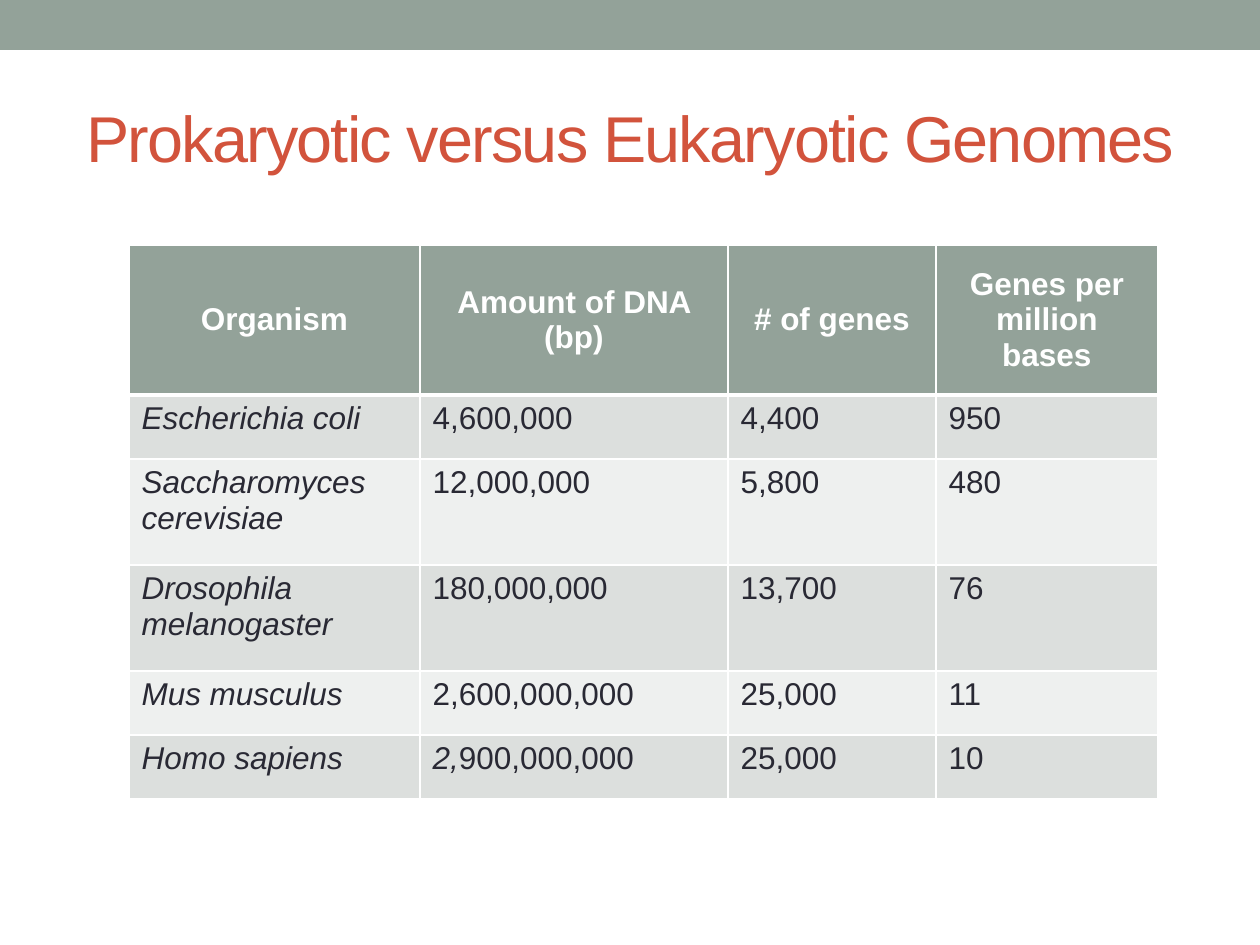
from dataclasses import dataclass

from lxml import etree
from pptx import Presentation
from pptx.dml.color import RGBColor
from pptx.enum.shapes import MSO_SHAPE
from pptx.enum.text import MSO_ANCHOR, PP_ALIGN
from pptx.oxml.ns import qn
from pptx.util import Emu, Pt

RECT = MSO_SHAPE.RECTANGLE
TOP, MIDDLE = MSO_ANCHOR.TOP, MSO_ANCHOR.MIDDLE
LEFT, CENTER = PP_ALIGN.LEFT, PP_ALIGN.CENTER
EMU_PER_PX = 914400 / 126


@dataclass(frozen=True)
class Theme:
    font: str = "Arial"
    title_size: int = 37
    table_size: int = 18
    title: str = "D2533C"
    sage: str = "93A299"
    white: str = "FFFFFF"
    ink: str = "292934"
    bands: tuple = ("DCDFDD", "EEF0EF")
    grid_pt: float = 0.96
    header_rule_pt: float = 3


def px(n):
    return Emu(round(n * EMU_PER_PX))


class SlideBuilder:
    def __init__(self, slide, theme):
        self.s = slide
        self.theme = theme

    def run(self, p, text, size, color, bold=False, italic=False):
        r = p.add_run()
        r.text = text
        f = r.font
        f.name, f.size, f.bold, f.italic = self.theme.font, Pt(size), bold, italic
        f.color.rgb = RGBColor.from_string(color)
        return r

    def bar(self, x, y, w, h, color):
        sp = self.s.shapes.add_shape(RECT, px(x), px(y), px(w), px(h))
        sp.shadow.inherit = False
        sp.fill.solid()
        sp.fill.fore_color.rgb = RGBColor.from_string(color)
        sp.line.fill.background()

    def title(self, text, x, y, w, h):
        sp = self.s.shapes.add_textbox(px(x), px(y), px(w), px(h))
        tf = sp.text_frame
        tf.word_wrap = True
        tf.vertical_anchor = MIDDLE
        p = tf.paragraphs[0]
        p.alignment = CENTER
        p.line_spacing = 0.9
        r = self.run(p, text, self.theme.title_size, self.theme.title)
        r.font._element.set("spc", "-100")

    def borders(self, cell, top, bottom):
        """Draw white cell edges; top and bottom are widths in points."""
        grid = self.theme.grid_pt
        edges = (("L", grid), ("R", grid), ("T", top), ("B", bottom))
        tc_pr = cell._tc.get_or_add_tcPr()
        for i, (side, width) in enumerate(edges):
            ln = etree.Element(qn(f"a:ln{side}"), w=str(Pt(width)))
            fill = etree.SubElement(ln, qn("a:solidFill"))
            etree.SubElement(fill, qn("a:srgbClr"), val=self.theme.white)
            tc_pr.insert(i, ln)

    def cell(self, cell, runs, row):
        """Fill one cell from (text, italic) runs, styled by its row."""
        t = self.theme
        header = row == 0
        cell.fill.solid()
        fill = t.sage if header else t.bands[(row - 1) % 2]
        cell.fill.fore_color.rgb = RGBColor.from_string(fill)
        cell.vertical_anchor = MIDDLE if header else TOP
        p = cell.text_frame.paragraphs[0]
        p.alignment = CENTER if header else LEFT
        for text, italic in runs:
            self.run(p, text, t.table_size, t.white if header else t.ink, header, italic)
        self.borders(cell,
                     t.header_rule_pt if row == 1 else t.grid_pt,
                     t.header_rule_pt if header else t.grid_pt)

    def table(self, rows, x, y, widths, heights):
        frame = self.s.shapes.add_table(len(rows), len(widths), px(x), px(y),
                                        px(sum(widths)), px(sum(heights)))
        table = frame.table
        for column, width in zip(table.columns, widths):
            column.width = px(width)
        for row, height in zip(table.rows, heights):
            row.height = px(height)
        for i, row in enumerate(rows):
            for j, value in enumerate(row):
                species = i > 0 and j == 0
                runs = [(value, species)] if isinstance(value, str) else value
                self.cell(table.cell(i, j), runs, i)


GENOMES = [
    ("Organism", "Amount of DNA (bp)", "# of genes", "Genes per million bases"),
    ("Escherichia coli", "4,600,000", "4,400", "950"),
    ("Saccharomyces cerevisiae", "12,000,000", "5,800", "480"),
    ("Drosophila melanogaster", "180,000,000", "13,700", "76"),
    ("Mus musculus", "2,600,000,000", "25,000", "11"),
    ("Homo sapiens", [("2,", True), ("900,000,000", False)], "25,000", "10"),
]


def main():
    prs = Presentation()
    prs.slide_width, prs.slide_height = px(1260), px(945)
    theme = Theme()
    b = SlideBuilder(prs.slides.add_slide(prs.slide_layouts[6]), theme)
    b.bar(0, 0, 1260, 50, theme.sage)
    b.title("Prokaryotic versus Eukaryotic Genomes", 63, 73, 1134, 136)
    b.table(GENOMES, 129, 245, (291, 308, 208, 222), (150, 64, 106, 106, 64, 64))
    prs.save("out.pptx")


if __name__ == "__main__":
    main()
